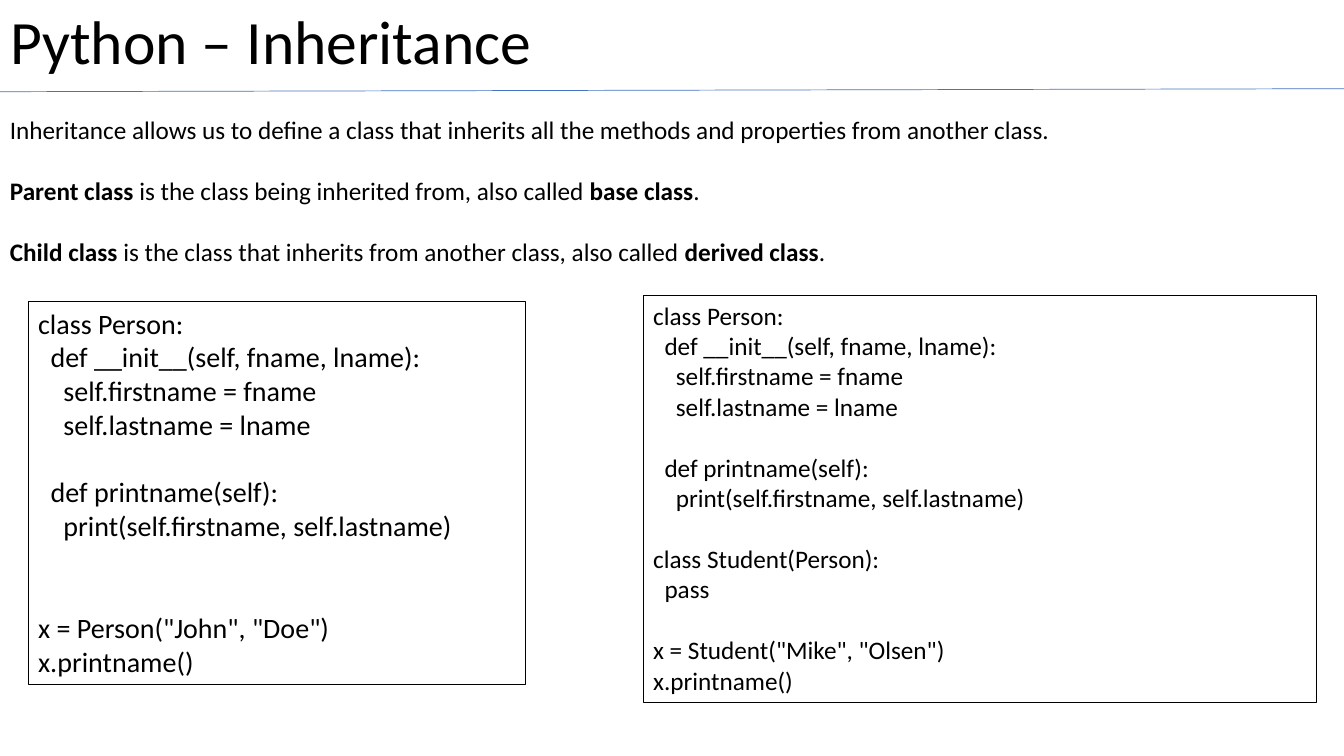
from lxml import etree
from pptx import Presentation
from pptx.dml.color import RGBColor
from pptx.enum.shapes import MSO_CONNECTOR, MSO_SHAPE
from pptx.enum.text import MSO_ANCHOR, MSO_AUTO_SIZE, PP_ALIGN
from pptx.oxml.ns import qn
from pptx.util import Inches, Pt

LEFT, TOP, MIDDLE = PP_ALIGN.LEFT, MSO_ANCHOR.TOP, MSO_ANCHOR.MIDDLE
NO_AUTOFIT = MSO_AUTO_SIZE.NONE
RECTANGLE, STRAIGHT = MSO_SHAPE.RECTANGLE, MSO_CONNECTOR.STRAIGHT

BLACK = RGBColor(0x00, 0x00, 0x00)
BLUE = RGBColor(0x44, 0x72, 0xC4)
FONT = "Calibri"
LINE_HEIGHT = 1.22
WIDTH, HEIGHT = Inches(13.33), Inches(7.5)

DEFINITIONS = [
    [("Inheritance allows us to define a class that inherits all the methods "
      "and properties from another class.", False)],
    [("Parent class ", True),
     ("is the class being inherited from, also called ", False),
     ("base class", True), (".", False)],
    [("Child class ", True),
     ("is the class that inherits from another class, also called ", False),
     ("derived class", True), (".", False)],
]

PERSON_CLASS = """class Person:
  def __init__(self, fname, lname):
    self.firstname = fname
    self.lastname = lname

  def printname(self):
    print(self.firstname, self.lastname)
"""
PERSON_CODE = PERSON_CLASS + """

x = Person("John", "Doe")
x.printname()"""
STUDENT_CODE = PERSON_CLASS + """
class Student(Person):
  pass

x = Student("Mike", "Olsen")
x.printname()"""


def apply(target, formats):
    for name, value in formats.items():
        setattr(target, name, value)


def format_frame(frame, anchor=TOP):
    apply(frame, {"word_wrap": True, "auto_size": NO_AUTOFIT,
                  "vertical_anchor": anchor})


def add_span(para, text, size, bold=False):
    span = para.add_run()
    span.text = text
    apply(span.font, {"name": FONT, "size": Pt(size), "bold": bold})
    span.font.color.rgb = BLACK


def write_paragraphs(frame, paragraphs, size):
    """Write (skipped lines, spans) pairs, turning skipped lines into space."""
    for index, (skipped, spans) in enumerate(paragraphs):
        para = frame.paragraphs[0] if index == 0 else frame.add_paragraph()
        apply(para, {"alignment": LEFT,
                     "space_before": Pt(round(skipped * size * LINE_HEIGHT, 1))})
        for text, bold in spans:
            add_span(para, text, size, bold)


def code_paragraphs(code):
    paragraphs, skipped = [], 0
    for line in code.split("\n"):
        if line:
            paragraphs.append((skipped, [(line, False)]))
            skipped = 0
        else:
            skipped += 1
    return paragraphs


def set_title(page, text):
    title = page.shapes.title
    apply(title, {"left": 0, "top": 0, "width": WIDTH, "height": Inches(0.88)})
    format_frame(title.text_frame, MIDDLE)
    write_paragraphs(title.text_frame, [(0, [(text, False)])], 44)
    title.text_frame.paragraphs[0].line_spacing = 0.9


def add_title_rule(page):
    rule = page.shapes.add_connector(STRAIGHT, 0, Inches(0.91),
                                     WIDTH, Inches(0.88))
    rule.line.color.rgb = BLUE
    rule.line.width = Pt(0.5)
    etree.SubElement(rule._element.spPr, qn("a:effectLst"))


def add_definitions(page):
    box = page.shapes.add_textbox(0, Inches(1.08), WIDTH, Inches(1.62))
    format_frame(box.text_frame)
    paragraphs = [(min(index, 1), spans)
                  for index, spans in enumerate(DEFINITIONS)]
    write_paragraphs(box.text_frame, paragraphs, 18)


def add_code_box(page, bounds, code, size):
    box = page.shapes.add_shape(RECTANGLE, *map(Inches, bounds))
    box.shadow.inherit = False
    box.fill.background()
    box.line.color.rgb = BLACK
    box.line.width = Pt(0.25)
    format_frame(box.text_frame)
    write_paragraphs(box.text_frame, code_paragraphs(code), size)


def main():
    deck = Presentation()
    apply(deck, {"slide_width": WIDTH, "slide_height": HEIGHT})
    page = deck.slides.add_slide(deck.slide_layouts.get_by_name("Title Only"))
    set_title(page, "Python – Inheritance")
    add_title_rule(page)
    add_definitions(page)
    add_code_box(page, (0.28, 2.99, 4.93, 3.8), PERSON_CODE, 20)
    add_code_box(page, (6.38, 2.93, 6.67, 4.04), STUDENT_CODE, 18)
    deck.save("out.pptx")


if __name__ == "__main__":
    main()
